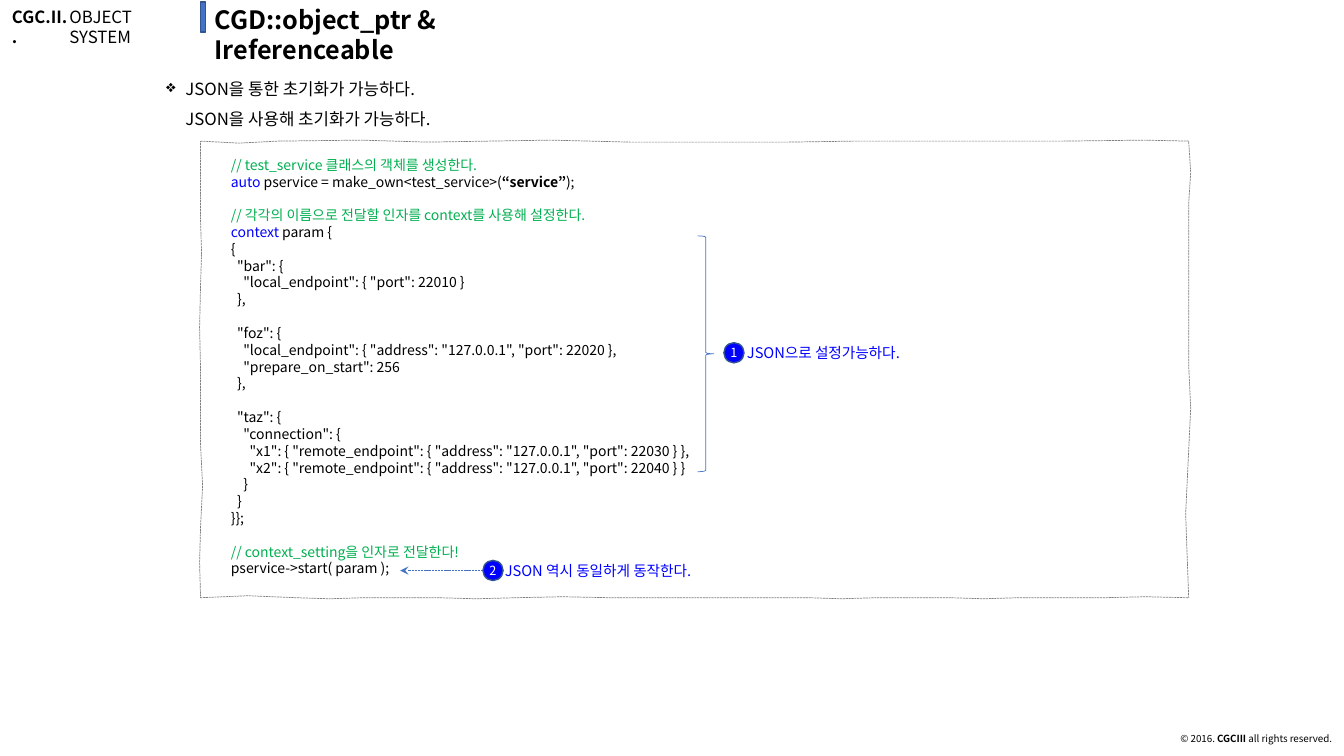
from dataclasses import dataclass

from lxml import etree
from pptx import Presentation
from pptx import util as u
from pptx.dml.color import RGBColor
from pptx.enum import dml, shapes, text
from pptx.oxml.ns import qn

PX = 9144  # 100 px to the inch
FONT = "Noto Sans CJK KR"
BLACK, WHITE, BLUE, GREEN = "000000", "FFFFFF", "0000FF", "00B050"
ACCENT, EDGE, GREY = "4472C4", "325491", "808080"


@dataclass
class Run:
    text: str
    color: str = BLACK
    bold: bool = False


@dataclass
class Label:
    x: int
    y: int
    w: int
    h: int
    size: float
    runs: list[Run]
    align: text.PP_ALIGN = text.PP_ALIGN.LEFT
    space: float = 1.0
    bullet: str = ""


@dataclass
class Badge:
    x: int
    y: int
    mark: str


LABELS = [
    Label(203, -1, 416, 40, 18, [Run("CGD::object_ptr & Ireferenceable", bold=True)]),
    Label(1066, 723, 265, 26, 7,
          [Run("© 2016. "), Run("CGCIII", bold=True), Run(" all rights reserved.")],
          text.PP_ALIGN.RIGHT, 0.9),
    Label(59, 2, 144, 30, 12, [Run("OBJECT SYSTEM")]),
    Label(2, 2, 77, 30, 12, [Run("CGC.II..", bold=True)]),
    Label(155, 63, 1070, 66, 12,
          [Run("JSON을 통한 초기화가 가능하다.\vJSON을 사용해 초기화가 가능하다.")],
          space=1.5, bullet="❖"),
    Label(731, 336, 305, 28, 10.5, [Run("JSON으로 설정가능하다.", BLUE)]),
    Label(491, 552, 390, 28, 10.5, [Run("JSON 역시 동일하게 동작한다.", BLUE)]),
]
BADGES = [Badge(718, 340, "1"), Badge(479, 556, "2")]

# Blocks of code, set apart by one line of space
CODE = [
    [[Run("// test_service 클래스의 객체를 생성한다.", GREEN)],
     [Run("auto", BLUE), Run(" pservice = make_own<test_service>("),
      Run("“service”", bold=True), Run(");")]],
    [[Run("// 각각의 이름으로 전달할 인자를 context를 사용해 설정한다.", GREEN)],
     [Run("context", BLUE), Run(" param {")],
     [Run("{")],
     [Run('  "bar": {')],
     [Run('    "local_endpoint": { "port": 22010 }')],
     [Run("  },")]],
    [[Run('  "foz": {')],
     [Run('    "local_endpoint": { "address": "127.0.0.1", "port": 22020 },')],
     [Run('    "prepare_on_start": 256')],
     [Run("  },")]],
    [[Run('  "taz": {')],
     [Run('    "connection": {')],
     [Run('      "x1": { "remote_endpoint": { "address": "127.0.0.1", "port": 22030 } },')],
     [Run('      "x2": { "remote_endpoint": { "address": "127.0.0.1", "port": 22040 } }')],
     [Run("    }")],
     [Run("  }")],
     [Run("}};")]],
    [[Run("// context_setting을 인자로 전달한다!", GREEN)],
     [Run("pservice->start( param );")]],
]

# Hand-drawn frame: top, right, bottom, left
FRAME = [
    (199, 140), (237, 142), (275, 140), (358, 139), (424, 141), (546, 139),
    (625, 141), (782, 141), (847, 140), (1054, 140), (1135, 139), (1179, 140),
    (1181, 171), (1179, 202), (1179, 362), (1181, 405), (1179, 447), (1176, 510),
    (1179, 593), (1136, 592), (1094, 593), (1009, 593), (976, 594), (943, 593),
    (868, 593), (835, 594), (802, 593), (606, 593), (558, 592), (511, 593),
    (473, 594), (435, 593), (360, 593), (327, 594), (294, 593), (246, 591),
    (199, 593), (198, 558), (199, 522), (201, 482), (199, 442), (199, 367),
    (198, 325), (199, 282), (200, 251), (199, 220),
]


def px(*vals: int) -> list[int]:
    return [u.Emu(v * PX) for v in vals]


def paint(fmt, color: str) -> None:
    """Give a fill a solid colour."""
    fmt.solid()
    fmt.fore_color.rgb = RGBColor.from_string(color)


def stroke(line, color: str, width: float, dash: bool = False) -> None:
    paint(line.fill, color)
    line.width = u.Pt(width)
    if dash:
        line.dash_style = dml.MSO_LINE.SQUARE_DOT


def write(para, runs: list[Run], size: float) -> None:
    for item in runs:
        if "\v" in item.text:
            para.text = item.text
            made = para.runs
        else:
            made = [para.add_run()]
            made[0].text = item.text
        for run in made:
            run.font.size = u.Pt(size)
            run.font.bold = item.bold
            paint(run.font.fill, item.color)
            run.font.name = FONT
            etree.SubElement(run.font._element, qn("a:ea"), typeface=FONT)


def add_label(page, item: Label) -> None:
    frame = page.shapes.add_textbox(*px(item.x, item.y, item.w, item.h)).text_frame
    frame.word_wrap = True
    para = frame.paragraphs[0]
    para.alignment = item.align
    para.line_spacing = item.space
    if item.bullet:
        props = para._p.get_or_add_pPr()
        props.set("marL", str(19 * PX))
        props.set("indent", str(-19 * PX))
        etree.SubElement(props, qn("a:buChar"), char=item.bullet)
    write(para, item.runs, item.size)


def add_shape(page, kind: shapes.MSO_SHAPE, box: tuple[int, int, int, int],
              fill: str, edge: str, width: float):
    shape = page.shapes.add_shape(kind, *px(*box))
    shape.shadow.inherit = False
    if fill:
        paint(shape.fill, fill)
    else:
        shape.fill.background()
    stroke(shape.line, edge, width)
    return shape


def add_badge(page, item: Badge) -> None:
    shape = add_shape(page, shapes.MSO_SHAPE.OVAL, (item.x, item.y, 20, 20), BLUE, EDGE, 1)
    frame = shape.text_frame
    frame.word_wrap = False
    frame.vertical_anchor = text.MSO_ANCHOR.MIDDLE
    frame.paragraphs[0].alignment = text.PP_ALIGN.CENTER
    write(frame.paragraphs[0], [Run(item.mark, WHITE)], 9)


def add_code(page) -> None:
    form = page.shapes.build_freeform(*FRAME[0], scale=PX)
    form.add_line_segments(FRAME[1:], close=True)
    panel = form.convert_to_shape()
    panel.shadow.inherit = False
    paint(panel.fill, WHITE)
    stroke(panel.line, GREY, 0.5, dash=True)
    frame = panel.text_frame
    frame.word_wrap = True
    frame.vertical_anchor = text.MSO_ANCHOR.TOP
    frame.margin_left, frame.margin_right = px(31, 31)
    frame.margin_top, frame.margin_bottom = px(16, 16)
    para = frame.paragraphs[0]
    for b, block in enumerate(CODE):
        for n, runs in enumerate(block):
            if b or n:
                para = frame.add_paragraph()
            para.alignment = text.PP_ALIGN.LEFT
            if b and not n:
                para.space_before = u.Pt(12)
            write(para, runs, 10)


def add_arrow(page) -> None:
    arrow = page.shapes.add_connector(shapes.MSO_CONNECTOR.STRAIGHT, *px(479, 566, 397, 566))
    stroke(arrow.line, ACCENT, 0.5, dash=True)
    etree.SubElement(arrow.line._get_or_add_ln(), qn("a:tailEnd"), type="stealth")
    etree.SubElement(arrow._element.spPr, qn("a:effectLst"))


def main() -> None:
    deck = Presentation()
    deck.slide_width, deck.slide_height = px(1333, 750)
    page = deck.slides.add_slide(deck.slide_layouts[6])
    add_shape(page, shapes.MSO_SHAPE.RECTANGLE, (199, 2, 5, 30), ACCENT, EDGE, 1)
    add_code(page)
    add_shape(page, shapes.MSO_SHAPE.RIGHT_BRACE, (692, 234, 16, 234), "", ACCENT, 0.5)
    add_arrow(page)
    for item in LABELS:
        add_label(page, item)
    for item in BADGES:
        add_badge(page, item)
    deck.save("out.pptx")


if __name__ == "__main__":
    main()
